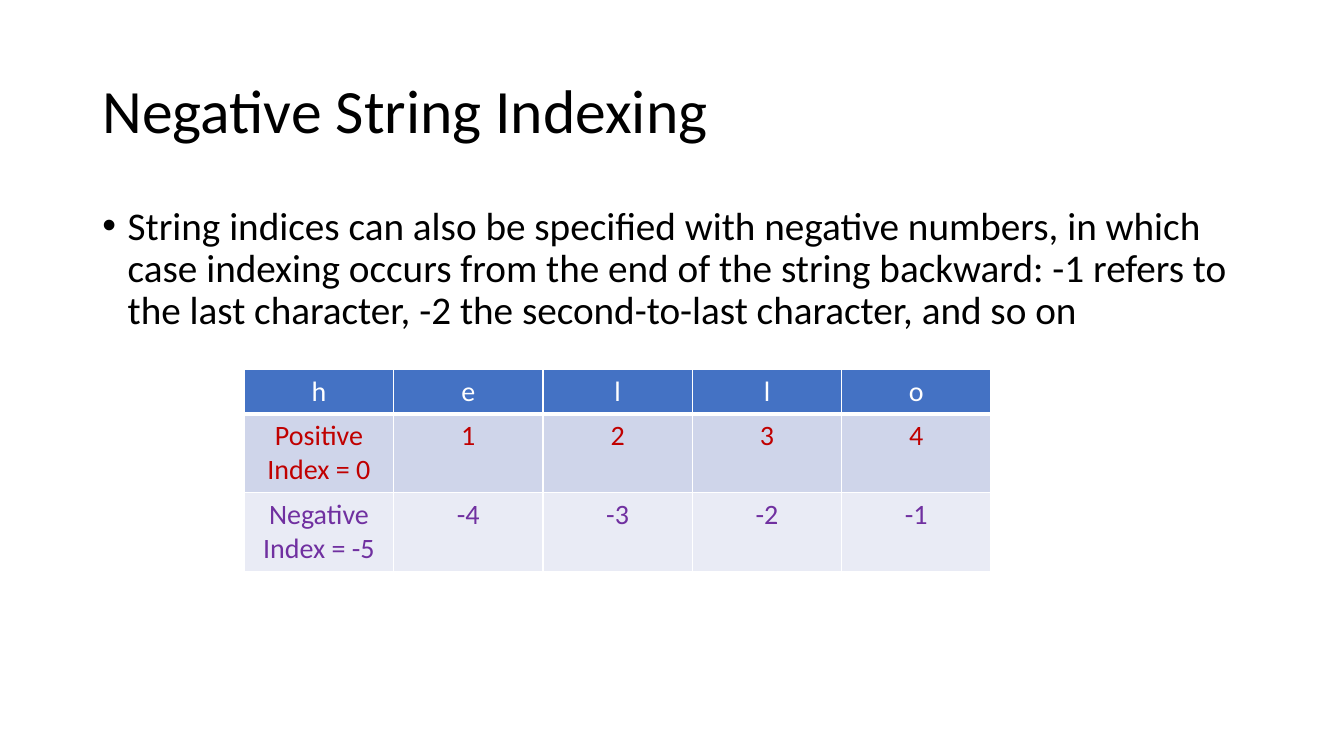
from lxml import etree
from pptx import Presentation
from pptx.dml import color
from pptx.enum import text
from pptx.oxml import ns
from pptx.util import Pt

FONT = "Calibri"
INDEX_ROWS = [
    (["h", "e", "l", "l", "o"], "4472C4", "FFFFFF"),
    (["Positive Index = 0", "1", "2", "3", "4"], "CFD5EA", "C00000"),
    (["Negative Index = -5", "-4", "-3", "-2", "-1"], "E9EBF5", "7030A0"),
]


def rgb(value):
    return color.RGBColor.from_string(value)


def place(shape, box):
    shape.left, shape.top, shape.width, shape.height = map(Pt, box)


def style(paragraph, size, ink, align):
    paragraph.alignment = align
    font = paragraph.font
    font.name, font.size, font.bold = FONT, Pt(size), False
    font.color.rgb = rgb(ink)


def add_borders(cell, bottom):
    properties = cell._tc.get_or_add_tcPr()
    for side, width in (("L", 1), ("R", 1), ("T", 1), ("B", bottom)):
        line = etree.SubElement(properties, ns.qn(f"a:ln{side}"), w=str(Pt(width)))
        fill = etree.SubElement(line, ns.qn("a:solidFill"))
        etree.SubElement(fill, ns.qn("a:srgbClr"), val="FFFFFF")


def add_heading(slide, box, words):
    heading = slide.shapes.title
    place(heading, box)
    frame = heading.text_frame
    frame.text = words
    frame.vertical_anchor = text.MSO_ANCHOR.MIDDLE
    paragraph = frame.paragraphs[0]
    style(paragraph, 44, "000000", text.PP_ALIGN.LEFT)
    paragraph.line_spacing = 0.9


def add_explanation(slide, box, words):
    explanation = slide.placeholders[1]
    place(explanation, box)
    frame = explanation.text_frame
    frame.text = words
    paragraph = frame.paragraphs[0]
    style(paragraph, 28, "000000", text.PP_ALIGN.LEFT)
    paragraph.line_spacing = 0.9
    paragraph.space_before = Pt(10)
    properties = paragraph._p.get_or_add_pPr()
    properties.set("marL", str(Pt(18)))
    properties.set("indent", str(Pt(-18)))


def add_index_table(slide, box, rows):
    frame = slide.shapes.add_table(len(rows), len(rows[0][0]), *map(Pt, box))
    indices = frame.table
    for r, (entries, background, ink) in enumerate(rows):
        for c, entry in enumerate(entries):
            cell = indices.cell(r, c)
            cell.text = entry
            style(cell.text_frame.paragraphs[0], 20, ink, text.PP_ALIGN.CENTER)
            add_borders(cell, 3 if r == 0 else 1)
            cell.fill.solid()
            cell.fill.fore_color.rgb = rgb(background)


def main():
    deck = Presentation()
    deck.slide_width, deck.slide_height = Pt(960), Pt(540)
    slide = deck.slides.add_slide(deck.slide_layouts[1])
    add_heading(slide, (66, 28.75, 828, 104.4), "Negative String Indexing")
    add_explanation(
        slide,
        (66, 143.75, 828, 342.6),
        "String indices can also be specified with negative numbers, in which case "
        "indexing occurs from the end of the string backward: -1 refers to the last "
        "character, -2 the second-to-last character, and so on",
    )
    add_index_table(slide, (174.5, 263.8, 533.4, 87.6), INDEX_ROWS)
    deck.save("out.pptx")


if __name__ == "__main__":
    main()
